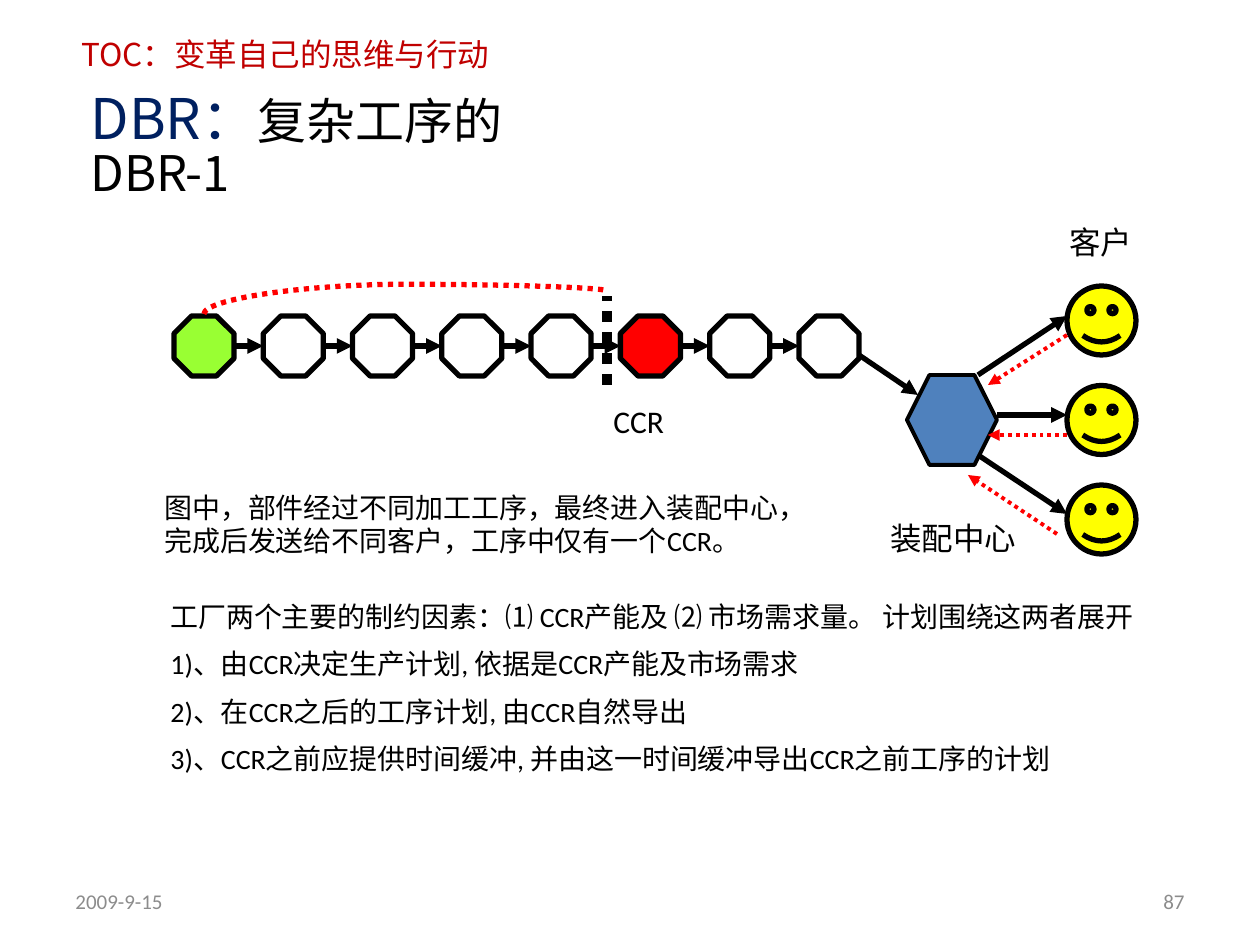
from lxml.etree import SubElement
from pptx import Presentation
from pptx.dml.color import RGBColor
from pptx.enum.dml import MSO_LINE
from pptx.enum.shapes import MSO_CONNECTOR, MSO_SHAPE
from pptx.enum.text import MSO_ANCHOR, MSO_AUTO_SIZE, PP_ALIGN
from pptx.oxml.ns import qn
from pptx.util import Emu, Inches, Pt

PIXEL = Inches(1) / 126
BLACK, RED, GREY = "000000", "FF0000", "8C8C8C"
CJK_FONT = "Noto Sans CJK SC"


def px(value):
    return Emu(round(value * PIXEL))


def color(value):
    return RGBColor.from_string(value)


def style_span(span, size, value, font="Calibri"):
    span.font.size = Pt(size)
    span.font.name = font
    span.font.color.rgb = color(value)
    if font == CJK_FONT:
        SubElement(span.font._element, qn("a:ea")).set("typeface", font)


def add_text(page, bounds, lines, size=18, value=BLACK, font="Calibri",
             wrap=True, anchor=MSO_ANCHOR.TOP, align=PP_ALIGN.LEFT):
    box = page.shapes.add_textbox(*map(px, bounds))
    frame = box.text_frame
    frame.word_wrap = wrap
    frame.vertical_anchor = anchor
    frame.text = "\n".join(lines)
    for index, para in enumerate(frame.paragraphs):
        para.alignment = align
        if index:
            para.space_before = Pt(8)
        for span in para.runs:
            style_span(span, size, value, font)


def add_node(page, kind, bounds, fill=None, width=3, adjustment=None):
    node = page.shapes.add_shape(kind, *map(px, bounds))
    node.shadow.inherit = False
    if fill:
        node.fill.solid()
        node.fill.fore_color.rgb = color(fill)
    else:
        node.fill.background()
    node.line.color.rgb = color(BLACK)
    node.line.width = Pt(width)
    if adjustment:
        node.adjustments[0] = adjustment


def add_line(page, points, value=BLACK, width=3, dotted=False, arrow=True,
             kind=MSO_CONNECTOR.STRAIGHT):
    line = page.shapes.add_connector(kind, *map(px, points))
    line.line.color.rgb = color(value)
    line.line.width = Pt(width)
    if dotted:
        line.line.dash_style = MSO_LINE.ROUND_DOT
    if arrow:
        SubElement(line.line._get_or_add_ln(), qn("a:tailEnd")).set("type", "triangle")
    SubElement(line._element.spPr, qn("a:effectLst"))
    return line


def add_title(page, left, top, width, height):
    title = page.shapes.title
    title.left, title.top, title.width, title.height = map(px, (left, top, width, height))
    frame = title.text_frame
    frame.word_wrap = True
    frame.auto_size = MSO_AUTO_SIZE.NONE
    frame.vertical_anchor = MSO_ANCHOR.TOP
    para = frame.paragraphs[0]
    para.alignment = PP_ALIGN.LEFT
    para.line_spacing = 0.85
    for text, size, value in (("DBR：", 32, "002060"), ("复杂工序的DBR-1", 28, BLACK)):
        span = para.add_run()
        span.text = text
        style_span(span, size, value, CJK_FONT)


def add_process_line(page, left, top):
    size = 60
    middle = top + size / 2
    fills = {0: "99FF33", 5: RED}
    starts = [left + index * 625 / 7 for index in range(8)]
    for index, start in enumerate(starts):
        add_node(page, MSO_SHAPE.OCTAGON, (start, top, size, size),
                 fills.get(index), adjustment=0.293)
    for start, following in zip(starts, starts[1:]):
        add_line(page, (start + size, middle, following, middle))
    add_line(page, (left + 685, top + 39, left + 744, top + 79))
    add_text(page, (left + 427, top + 80, 93, 50), ["CCR"], wrap=False)
    add_rope(page, left + 220, top - 215)
    add_line(page, (left + 433, top + 69, left + 433, top - 20), width=6,
             dotted=True, arrow=False)


def add_rope(page, left, top):
    rope = add_line(page, (left, top, left + 23, top + 403), RED, dotted=True,
                    arrow=False, kind=MSO_CONNECTOR.CURVE)
    properties = rope._element.spPr
    properties.find(qn("a:xfrm")).set("rot", str(270 * 60000))
    guides = properties.find(qn("a:prstGeom")).get_or_add_avLst()
    guide = SubElement(guides, qn("a:gd"))
    guide.set("name", "adj1")
    guide.set("fmla", "val 129400")


def add_assembly(page, left, top):
    add_node(page, MSO_SHAPE.HEXAGON, (left, top, 90, 90), "4F81BD", 2.25, 0.25)
    add_text(page, (left - 29, top + 138, 151, 50), ["装配中心"], wrap=False)


def add_customers(page, left, top):
    add_text(page, (left - 10, top - 69, 88, 50), ["客户"], wrap=False)
    for index in range(3):
        add_node(page, MSO_SHAPE.SMILEY_FACE, (left, top + index * 99.5, 69, 69),
                 "FFFF00")
    deliveries = ((-89, 169, 0, 228), (-70, 129, 0, 129), (-89, 89, 0, 30))
    demands = ((0, 49, -79, 99), (0, 149, -79, 149), (-10, 248, -99, 189))
    for routes, options in ((deliveries, {}),
                            (demands, {"value": RED, "width": 2.25, "dotted": True})):
        for x1, y1, x2, y2 in routes:
            add_line(page, (left + x1, top + y1, left + x2, top + y2), **options)


def add_notes_area(page, left, top):
    add_text(page, (left, top, 674, 81),
             ["图中，部件经过不同加工工序，最终进入装配中心，完成后发送给不同客户，工序中仅有一个CCR。"], 16)
    add_text(page, (left + 6, top + 109, 1004, 199), [
        "工厂两个主要的制约因素：⑴ CCR产能及 ⑵ 市场需求量。 计划围绕这两者展开",
        "1)、由CCR决定生产计划, 依据是CCR产能及市场需求",
        "2)、在CCR之后的工序计划, 由CCR自然导出",
        "3)、CCR之前应提供时间缓冲, 并由这一时间缓冲导出CCR之前工序的计划",
    ], 16)


def add_footer(page, left, top, width):
    for start, text, align in ((left, "2009-9-15", PP_ALIGN.LEFT),
                               (left + width - 294, "87", PP_ALIGN.RIGHT)):
        add_text(page, (start, top, 294, 50), [text], 12, GREY,
                 anchor=MSO_ANCHOR.MIDDLE, align=align)


def main():
    deck = Presentation()
    deck.slide_width, deck.slide_height = Inches(10), Inches(7.5)
    page = deck.slides.add_slide(deck.slide_layouts[5])
    add_text(page, (69, 29, 452, 50), ["TOC：变革自己的思维与行动"], 18, "C00000", CJK_FONT)
    add_title(page, 78, 88, 538, 81)
    add_process_line(page, 174, 316)
    add_assembly(page, 907, 375)
    add_customers(page, 1067, 286)
    add_notes_area(page, 152, 484)
    add_footer(page, 63, 876, 1134)
    deck.save("out.pptx")


if __name__ == "__main__":
    main()
